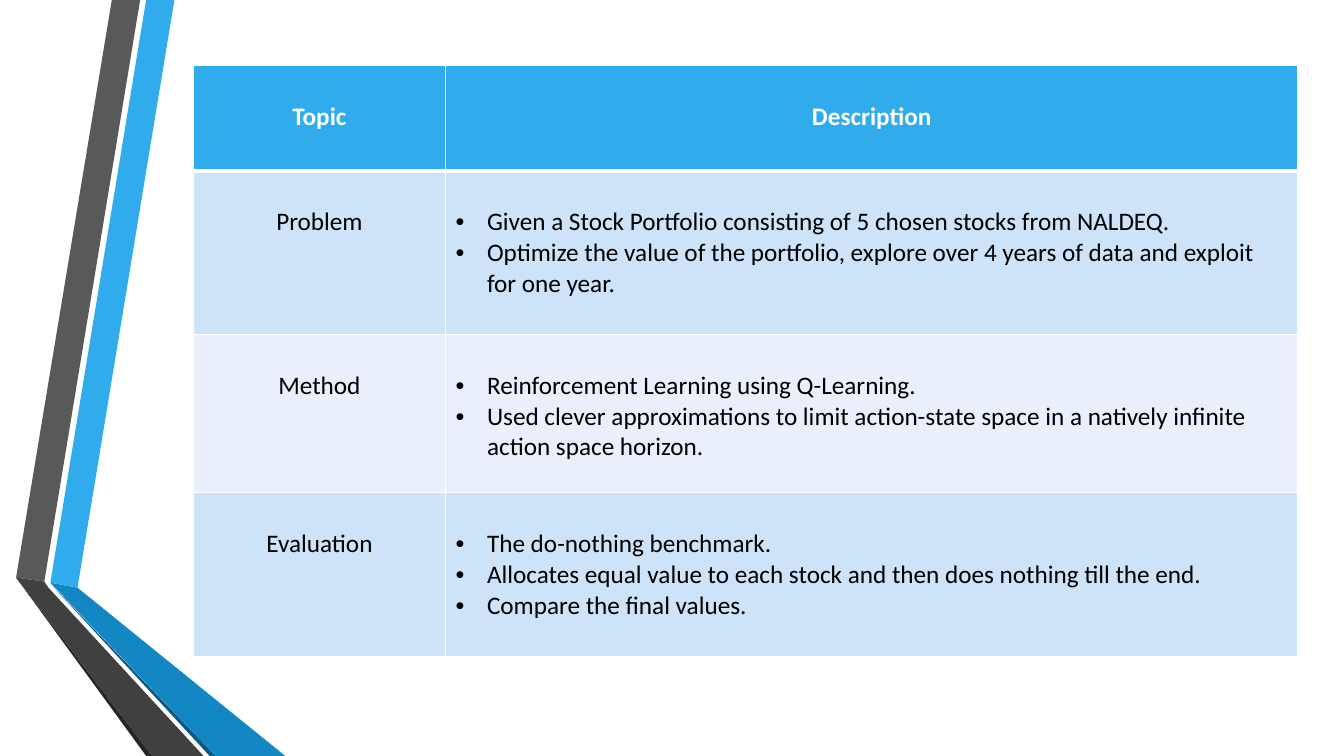
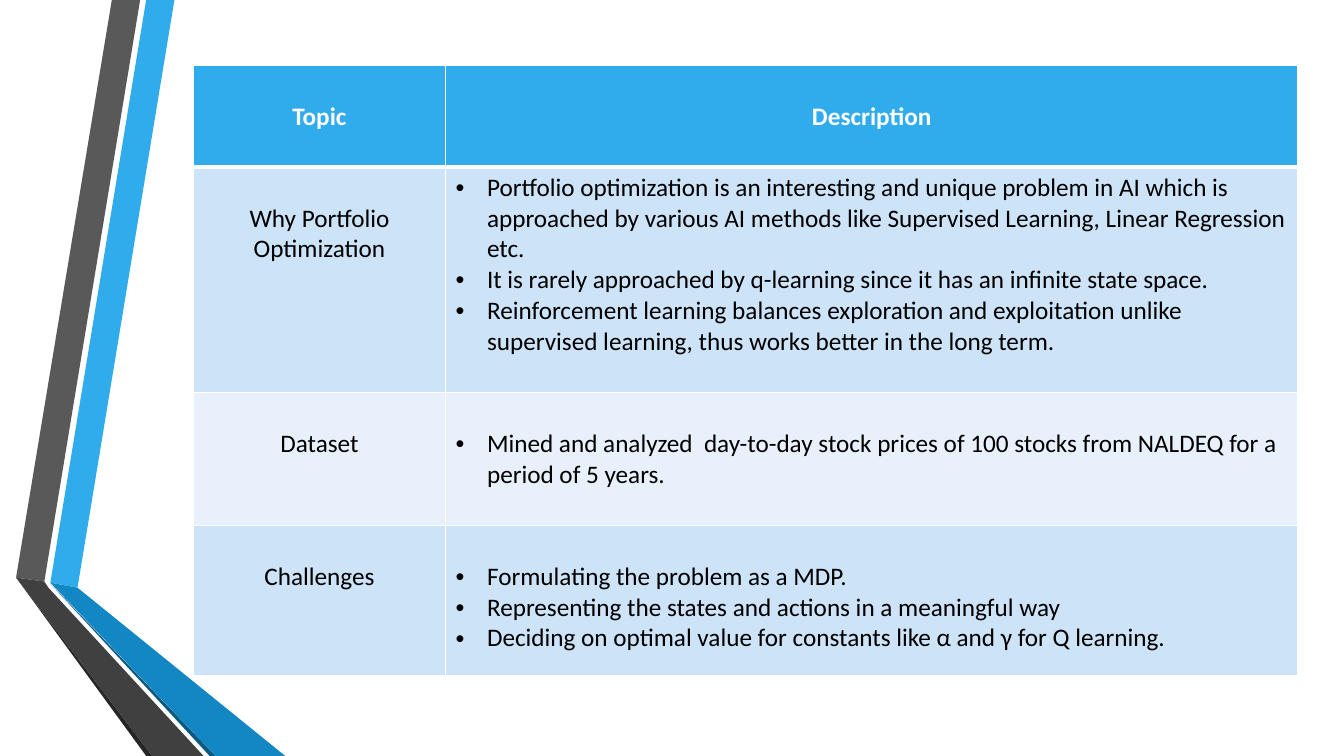
from lxml import etree
from pptx import Presentation
from pptx import util as u
from pptx.dml.color import RGBColor
from pptx.enum import text
from pptx.oxml import ns

BLUE, WHITE, BLACK = "30ACEC", "FFFFFF", "000000"
BANDS = ("CDE3F8", "E8F1FB")
FONT, TEXT_SIZE = "Calibri", 18
LINE_HEIGHT, CELL_MARGIN, BULLET_INDENT = 22, 3.6, 22.5
TABLE_LEFT, TABLE_TOP = 138.2, 47
COLUMN_WIDTHS = (180, 609)
HEADER = ("Topic", "Description")

RIBBON = (
    (BLUE, ((36, 416.2), (55.4, 419.8), (124.6, 0), (104.4, 0))),
    ("595959", ((100.1, 0), (79.9, 0), (11.5, 412.6), (31.7, 415.4))),
    ("262626", ((11.5, 412.6), (104.4, 540), (108.7, 540))),
    ("0C5A82", ((36, 416.9), (149.8, 540), (154.1, 540))),
    ("1287C3", ((36, 416.2), (154.1, 540), (203.8, 540), (55.4, 419.8))),
    ("404040", ((145.4, 540), (34.6, 419.8), (31.7, 415.4), (11.5, 412.6), (108.7, 540))),
)

OVERVIEW = (
    ("Problem", (
        "Given a Stock Portfolio consisting of 5 chosen stocks from NALDEQ.",
        "Optimize the value of the portfolio, explore over 4 years of data and exploit for one year.")),
    ("Method", (
        "Reinforcement Learning using Q-Learning.",
        "Used clever approximations to limit action-state space in a natively infinite action space horizon.")),
    ("Evaluation", (
        "The do-nothing benchmark.",
        "Allocates equal value to each stock and then does nothing till the end.",
        "Compare the final values.")),
)

BACKGROUND = (
    ("Why Portfolio Optimization", (
        "Portfolio optimization is an interesting and unique problem in AI which is approached "
        "by various AI methods like Supervised Learning, Linear Regression etc.",
        "It is rarely approached by q-learning since it has an infinite state space.",
        "Reinforcement learning balances exploration and exploitation unlike supervised learning, "
        "thus works better in the long term.")),
    ("Dataset", (
        "Mined and analyzed  day-to-day stock prices of 100 stocks from NALDEQ for a period of 5 years.",)),
    ("Challenges", (
        "Formulating the problem as a MDP.",
        "Representing the states and actions in a meaningful way",
        "Deciding on optimal value for constants like α and γ for Q learning.")),
)


def color(value):
    """Return the colour for a hex string."""
    return RGBColor.from_string(value)


def write(paragraph, content, *, fill=BLACK, bold=False, bullet=False):
    """Write text into a paragraph, centred or as a bullet."""
    run = paragraph.add_run()
    run.text = content
    run.font.name, run.font.size, run.font.bold = FONT, u.Pt(TEXT_SIZE), bold
    run.font.color.rgb = color(fill)
    if not bullet:
        paragraph.alignment = text.PP_ALIGN.CENTER
        return
    properties = paragraph._p.get_or_add_pPr()
    properties.set("marL", str(u.Pt(BULLET_INDENT)))
    properties.set("indent", str(-u.Pt(BULLET_INDENT)))
    etree.SubElement(properties, ns.qn("a:buFont"), typeface="Arial")
    etree.SubElement(properties, ns.qn("a:buChar"), char="•")


def set_borders(cell, widths):
    """Give a cell white borders: left, right, top and bottom."""
    properties = cell._tc.get_or_add_tcPr()
    for index, (side, width) in enumerate(zip("LRTB", widths)):
        line = etree.Element(ns.qn(f"a:ln{side}"), w=str(u.Pt(width)))
        fill = etree.SubElement(line, ns.qn("a:solidFill"))
        etree.SubElement(fill, ns.qn("a:srgbClr"), val=WHITE)
        properties.insert(index, line)


class Deck:
    """Hold the presentation, its style and the current slide."""

    def __init__(self):
        """Start a widescreen presentation."""
        self.presentation = Presentation()
        self.presentation.slide_width = u.Pt(960)
        self.presentation.slide_height = u.Pt(540)
        self.slide = None

    def add_slide(self):
        """Add a slide with the folded ribbon on its left."""
        self.slide = self.presentation.slides.add_slide(self.presentation.slide_layouts[6])
        for fill, points in RIBBON:
            self.add_outline(points, fill)

    def add_outline(self, points, fill):
        """Draw a closed, filled outline."""
        start, *rest = [(u.Pt(x), u.Pt(y)) for x, y in points]
        builder = self.slide.shapes.build_freeform(*start)
        builder.add_line_segments(rest, close=True)
        shape = builder.convert_to_shape()
        shape.shadow.inherit = False
        shape.fill.solid()
        shape.fill.fore_color.rgb = color(fill)
        shape.line.fill.background()

    def add_topic_table(self, topics, heights, raised=()):
        """Add the topic table; raised rows start their bullets at the top."""
        table = self.slide.shapes.add_table(
            len(heights), len(COLUMN_WIDTHS), u.Pt(TABLE_LEFT), u.Pt(TABLE_TOP),
            u.Pt(sum(COLUMN_WIDTHS)), u.Pt(sum(heights))).table
        for column, width in zip(table.columns, COLUMN_WIDTHS):
            column.width = u.Pt(width)
        for row, height in zip(table.rows, heights):
            row.height = u.Pt(height)
        for index, title in enumerate(HEADER):
            self.fill_cell(table.cell(0, index), (title,), BLUE, (1, 1, 1, 3), text_fill=WHITE, bold=True)
        for row, (topic, points) in enumerate(topics, start=1):
            band = BANDS[(row - 1) % 2]
            borders = (1, 1, 3 if row == 1 else 1, 1)
            self.fill_cell(table.cell(row, 0), (topic,), band, borders)
            self.fill_cell(table.cell(row, 1), points, band, borders, bullet=True, raised=row in raised)

    def fill_cell(self, cell, lines, fill, borders, text_fill=BLACK, bold=False, bullet=False, raised=False):
        """Fill, border and write one table cell."""
        set_borders(cell, borders)
        cell.fill.solid()
        cell.fill.fore_color.rgb = color(fill)
        cell.margin_top = u.Pt(CELL_MARGIN + (0 if raised else LINE_HEIGHT))
        frame = cell.text_frame
        for index, line in enumerate(lines):
            paragraph = frame.add_paragraph() if index else frame.paragraphs[0]
            write(paragraph, line, fill=text_fill, bold=bold, bullet=bullet)


def main():
    """Build and save the presentation."""
    deck = Deck()
    deck.add_slide()
    deck.add_topic_table(OVERVIEW, (75, 117, 113, 117))
    deck.add_slide()
    deck.add_topic_table(BACKGROUND, (72.5, 161, 95, 107), raised=(1,))
    deck.presentation.save("out.pptx")


if __name__ == "__main__":
    main()
